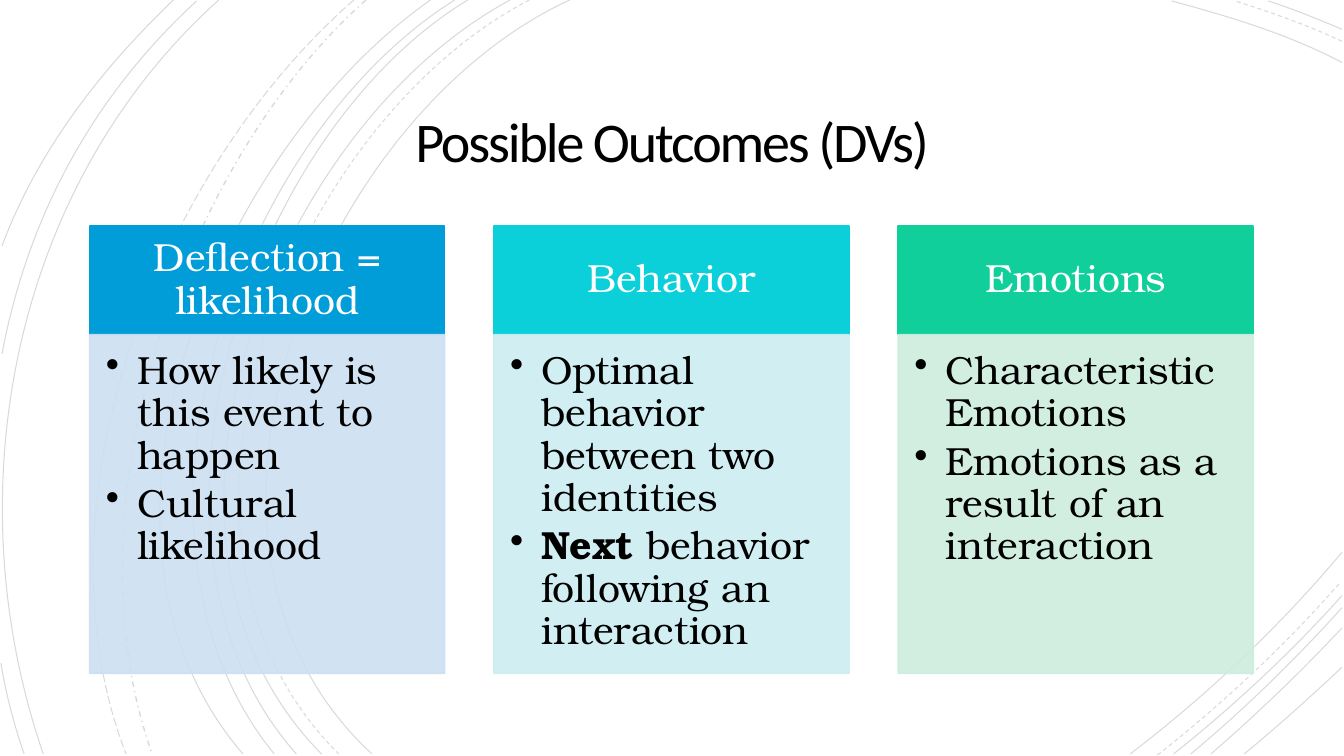
from lxml.etree import SubElement
from pptx import Presentation
from pptx.dml.color import RGBColor
from pptx.enum.dml import MSO_LINE
from pptx.enum.shapes import MSO_SHAPE
from pptx.enum.text import MSO_ANCHOR, PP_ALIGN
from pptx.oxml.ns import qn
from pptx.util import Inches, Pt

COLORS = {
    "white": "FFFFFF", "black": "000000",
    "blue": "009DD9", "pale blue": "CCDFF1",
    "cyan": "0BD0D9", "pale cyan": "CCEEF1",
    "green": "10CF9B", "pale green": "CCEDDE",
}


def set_alpha(shape, percent):
    """Make every colour in the shape's own fill and line translucent."""
    for color in shape._element.spPr.iter(qn("a:srgbClr")):
        SubElement(color, qn("a:alpha")).set("val", str(percent * 1000))


def write(box, paragraphs, font="TeX Gyre Bonum", size=28, color="black",
          align=PP_ALIGN.LEFT, anchor=MSO_ANCHOR.MIDDLE, spacing=0.9,
          insets=(0, 0, 0, 0), bullets=False, tracking=0):
    """Fill the box; each paragraph is a list of (text, bold) spans."""
    frame = box.text_frame
    frame.word_wrap = True
    frame.vertical_anchor = anchor
    (frame.margin_left, frame.margin_top,
     frame.margin_right, frame.margin_bottom) = map(Inches, insets)
    for index, spans in enumerate(paragraphs):
        para = frame.paragraphs[0] if index == 0 else frame.add_paragraph()
        para.alignment = align
        para.line_spacing = spacing
        if bullets:
            para.space_after = Pt(4.2)
            properties = para._p.get_or_add_pPr()
            properties.set("marL", str(Inches(0.31)))
            properties.set("indent", str(Inches(-0.31)))
            SubElement(properties, qn("a:buChar")).set("char", "•")
        for text, bold in spans:
            span = para.add_run()
            span.text = text
            span.font.name = font
            span.font.size = Pt(size)
            span.font.bold = bold
            span.font.color.rgb = RGBColor.from_string(COLORS[color])
            if tracking:
                span._r.get_or_add_rPr().set("spc", str(tracking))


deck = Presentation()
deck.slide_width, deck.slide_height = Inches(13.33), Inches(7.5)
page = deck.slides.add_slide(deck.slide_layouts[6])
page.background.fill.solid()
page.background.fill.fore_color.rgb = RGBColor.from_string(COLORS["white"])

# Background arcs: start, two control points and end of each curve, by line style
ARCS = {
    MSO_LINE.SOLID: [
        [(5.65, 0), (3.15, 1.15), (1.43, 5.4), (3.69, 7.48)],
        [(5.06, 0), (2.7, 1.27), (1.1, 5.37), (3.19, 7.48)],
        [(4.64, 0), (2.44, 1.33), (1.1, 5.41), (2.94, 7.48)],
        [(4.51, 0), (2.31, 1.38), (0.97, 5.33), (2.72, 7.48)],
        [(4.27, 0), (2.17, 1.47), (0.53, 5.29), (2.41, 7.48)],
        [(2.17, 0), (0.11, 1.85), (-0.46, 4.9), (0.43, 7.48)],
        [(1.95, 0.01), (0.92, 0.96), (0.28, 2.14), (0.02, 3.51)],
        [(1.72, 0), (1, 0.69), (0.37, 1.5), (0.02, 2.44)],
        [(0.01, 6.58), (0.06, 6.89), (0.14, 7.19), (0.24, 7.48)],
        [(13.31, 0.62), (12.78, 0.34), (12.18, 0.16), (11.62, 0.01)],
        [(13.31, 0.29), (13.07, 0.19), (12.83, 0.09), (12.58, 0.01)],
        [(11.21, 7.48), (11.97, 6.9), (12.69, 6.22), (13.31, 5.48)],
        [(11.64, 7.48), (12.23, 7.01), (12.8, 6.48), (13.31, 5.91)],
        [(11.81, 7.48), (12.34, 7.04), (12.84, 6.55), (13.31, 6.03)],
        [(12.01, 7.48), (12.46, 7.09), (12.9, 6.67), (13.31, 6.23)],
        [(12.34, 7.48), (12.67, 7.21), (12.99, 6.92), (13.31, 6.62)],
    ],
    MSO_LINE.DASH: [
        [(5.25, 0), (2.85, 1.25), (1.23, 5.37), (3.36, 7.48)],
        [(13.31, 0.41), (12.97, 0.25), (12.6, 0.12), (12.25, 0.01)],
        [(11.48, 7.49), (12.13, 6.98), (12.75, 6.4), (13.3, 5.77)],
    ],
    MSO_LINE.DASH_DOT: [[(3.63, 0), (1.76, 1.66), (0.65, 5.09), (1.51, 7.48)]],
    MSO_LINE.LONG_DASH: [[(3.51, 0), (1.57, 1.69), (0.29, 4.99), (1.25, 7.48)]],
}
for dash, curves in ARCS.items():
    for curve in curves:
        start, *rest = [(Inches(x), Inches(y)) for x, y in curve]
        builder = page.shapes.build_freeform(*start)
        builder.add_line_segments(rest, close=False)
        arc = builder.convert_to_shape()
        # Turn the three straight segments into one cubic curve
        segments = list(arc._element.iter(qn("a:lnTo")))
        outline = segments[0].getparent()
        bezier = SubElement(outline, qn("a:cubicBezTo"))
        for segment in segments:
            bezier.append(segment[0])
            outline.remove(segment)
        arc.fill.background()
        arc.shadow.inherit = False
        arc.line.color.rgb = RGBColor.from_string(COLORS["black"])
        arc.line.width = Pt(1 if dash == MSO_LINE.DASH_DOT else 0.75)
        arc.line.dash_style = dash
        set_alpha(arc, 15)

# Title
title = page.shapes.add_textbox(Inches(1.92), Inches(0.87), Inches(9.49), Inches(1.15))
write(title, [[("Possible Outcomes (DVs)", False)]], font="Calibri", size=40,
      align=PP_ALIGN.CENTER, spacing=0.85, insets=(0.25, 0.25, 0.25, 0.25),
      tracking=-150)

# Three outcome columns: a header above a bulleted panel
OUTCOMES = [
    ("Deflection = likelihood", "blue",
     [[("How likely is this event to happen", False)],
      [("Cultural likelihood", False)]]),
    ("Behavior", "cyan",
     [[("Optimal behavior between two identities", False)],
      [("Next", True), (" behavior following an interaction", False)]]),
    ("Emotions", "green",
     [[("Characteristic Emotions", False)],
      [("Emotions as a result of an interaction", False)]]),
]
LEFT, PITCH, WIDTH = 0.89, 4.01, 3.52
TOP, HEADER_HEIGHT, PANEL_HEIGHT = 2.24, 1.08, 3.36
for column, (heading, color, points) in enumerate(OUTCOMES):
    boxes = []
    for top, height, fill in [(TOP, HEADER_HEIGHT, color),
                              (TOP + HEADER_HEIGHT, PANEL_HEIGHT, f"pale {color}")]:
        box = page.shapes.add_shape(
            MSO_SHAPE.RECTANGLE, Inches(LEFT + column * PITCH), Inches(top),
            Inches(WIDTH), Inches(height))
        box.shadow.inherit = False
        box.fill.solid()
        box.fill.fore_color.rgb = RGBColor.from_string(COLORS[fill])
        box.line.color.rgb = RGBColor.from_string(COLORS[fill])
        box.line.width = Pt(1.25)
        boxes.append(box)
    header, panel = boxes
    set_alpha(panel, 90)
    write(header, [[(heading, False)]], color="white", align=PP_ALIGN.CENTER,
          insets=(0.22, 0.12, 0.22, 0.12))
    write(panel, points, anchor=MSO_ANCHOR.TOP, bullets=True,
          insets=(0.16, 0.16, 0.22, 0.24))

deck.save("out.pptx")
